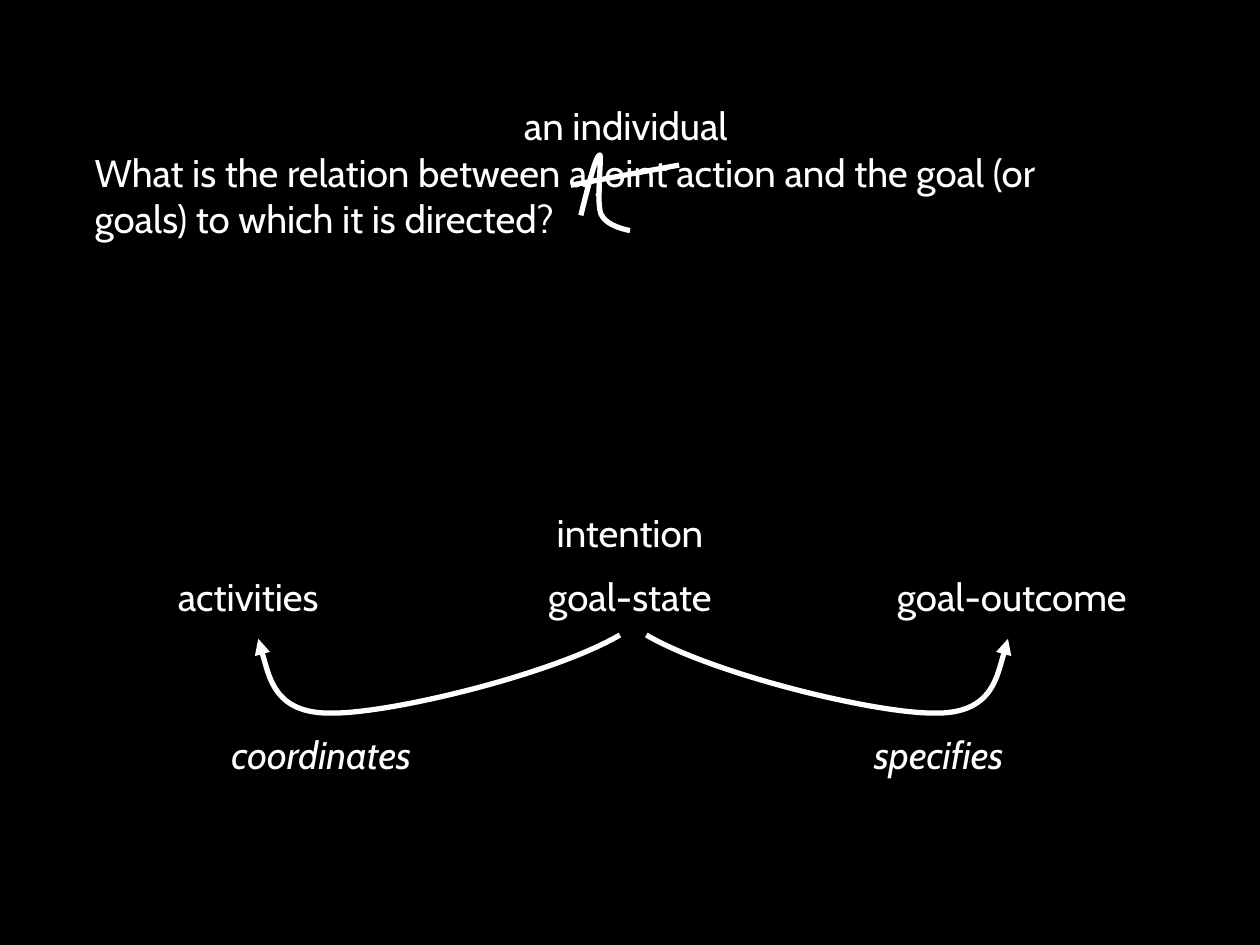
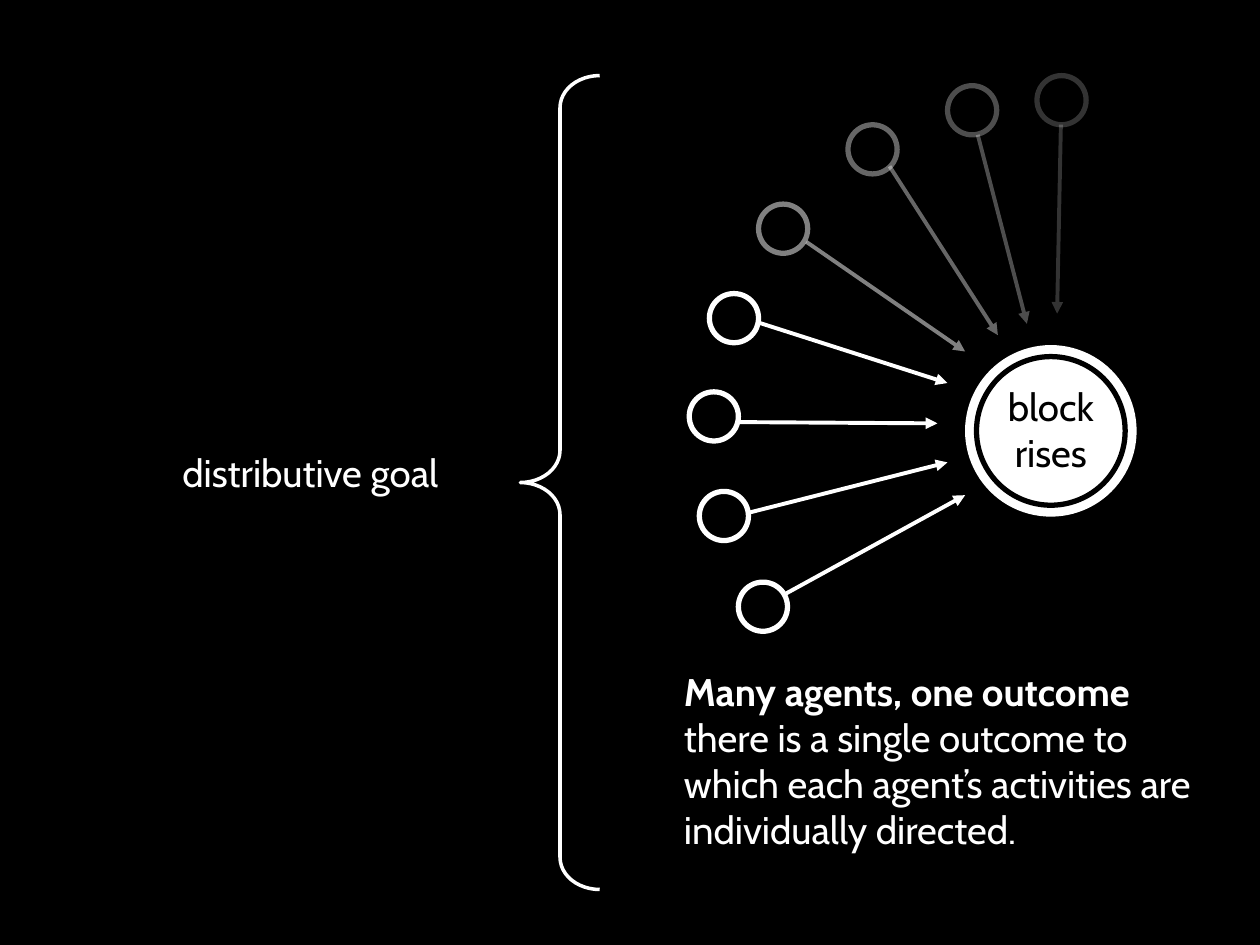
"""Two slides on goals, intentions and joint action."""
from dataclasses import dataclass

from lxml import etree
from pptx import Presentation
from pptx.dml.color import RGBColor
from pptx.enum import shapes, text
from pptx.oxml.ns import qn
from pptx.util import Inches, Pt


@dataclass(frozen=True)
class Theme:
    """Colours, type and line widths shared by the slides."""
    font: str = "Cabin"
    size: int = 22
    ink: RGBColor = RGBColor(255, 255, 255)
    ground: RGBColor = RGBColor(0, 0, 0)
    heavy: float = 3
    arrow: float = 2.25
    brace: float = 2


T = Theme()
LEFT, CENTER, RIGHT = text.PP_ALIGN.LEFT, text.PP_ALIGN.CENTER, text.PP_ALIGN.RIGHT
AGENT_SIZE = 0.39
TITLE_ONLY = 5


def apply(obj, values):
    """Set each attribute in values on obj."""
    for name, value in values.items():
        setattr(obj, name, value)


def write(sp, paragraphs, align=CENTER, color=T.ink):
    """Fill a shape with paragraphs, each a list of (words, font values)."""
    tf = sp.text_frame
    apply(tf, dict(word_wrap=True, auto_size=text.MSO_AUTO_SIZE.NONE,
                   vertical_anchor=text.MSO_ANCHOR.TOP))
    for i, runs in enumerate(paragraphs):
        p = tf.add_paragraph() if i else tf.paragraphs[0]
        p.alignment = align
        for words, values in runs:
            r = p.add_run()
            r.text = words
            apply(r.font, dict(name=T.font, size=Pt(T.size), **values))
            r.font.color.rgb = color


def add_text(s, box, paragraphs, **look):
    """Add a text box."""
    write(s.shapes.add_textbox(*map(Inches, box)), paragraphs, **look)


def add_label(s, left, top, words, **font):
    """Add a centred one-line label of the diagram."""
    add_text(s, (left, top, 2.1, 0.47), [[(words, font)]])


def set_title(s, box, words, align):
    """Move the title placeholder and write in it."""
    sp = s.shapes.title
    apply(sp, dict(zip(("left", "top", "width", "height"), map(Inches, box))))
    write(sp, [[(words, {})]], align)


def style_line(sp, width, color=T.ink, opacity=100, arrow=False):
    """Format an outline, with optional opacity and arrowhead."""
    sp.line.color.rgb = color
    sp.line.width = Pt(width)
    ln = sp.element.spPr.find(qn("a:ln"))
    if opacity < 100:
        clr = next(ln.iter(qn("a:srgbClr")))
        etree.SubElement(clr, qn("a:alpha"), val=str(opacity * 1000))
    if arrow:
        etree.SubElement(ln, qn("a:tailEnd"), type="triangle")


def add_line(s, start, end, width, **look):
    """Add a straight connector."""
    c = s.shapes.add_connector(shapes.MSO_CONNECTOR.STRAIGHT, *map(Inches, start + end))
    style_line(c, width, **look)
    etree.SubElement(c.element.spPr, qn("a:effectLst"))


def add_outline(s, kind, box, width, fill=None, **look):
    """Add a preset shape, hollow unless a fill is given."""
    sp = s.shapes.add_shape(kind, *map(Inches, box))
    sp.shadow.inherit = False
    if fill is None:
        sp.fill.background()
    else:
        sp.fill.solid()
        sp.fill.fore_color.rgb = fill
    style_line(sp, width, **look)
    return sp


def add_curve(s, points, **look):
    """Add an open curve: a start point, then three Bezier points a segment."""
    start, *rest = [(Inches(x), Inches(y)) for x, y in points]
    fb = s.shapes.build_freeform(*start)
    fb.add_line_segments(rest, close=False)
    sp = fb.convert_to_shape()
    sp.shadow.inherit = False
    sp.fill.background()
    lines = list(sp.element.iter(qn("a:lnTo")))
    for i in range(0, len(lines), 3):
        bezier = etree.Element(qn("a:cubicBezTo"))
        lines[i].addprevious(bezier)
        for line in lines[i:i + 3]:
            bezier.append(line[0])
            line.getparent().remove(line)
    style_line(sp, T.heavy, **look)


def add_agent(s, corner, start, tip, opacity):
    """Add an agent's ring and its arrow to the outcome."""
    add_outline(s, shapes.MSO_SHAPE.OVAL, (*corner, AGENT_SIZE, AGENT_SIZE),
                T.heavy, opacity=opacity)
    add_line(s, start, tip, T.arrow, opacity=opacity, arrow=True)


def build_relation(s):
    """Build the slide on how an intention links activities to an outcome."""
    set_title(s, (0.65, 1.13, 7.98, 0.84),
              "What is the relation between a joint action and the goal "
              "(or goals) to which it is directed?", LEFT)
    add_text(s, (4.06, 0.76, 1.95, 0.47), [[("an individual", {})]], align=LEFT)
    for i, words in enumerate(("activities", "goal-state", "goal-outcome")):
        add_label(s, 0.92 + i * 3.03, 4.5, words)
    add_label(s, 3.95, 3.99, "intention")
    add_label(s, 1.5, 5.75, "coordinates", italic=True)
    add_label(s, 6.4, 5.75, "specifies", italic=True)

    to_activities = [(4.92, 5.04), (4.39, 5.35), (3.12, 5.66), (2.64, 5.66),
                     (2.16, 5.67), (2.05, 5.07), (2.05, 5.07)]
    add_curve(s, to_activities, arrow=True)
    add_curve(s, [(10.05 - x, y) for x, y in to_activities], arrow=True)

    add_line(s, (4.53, 1.47), (5.39, 1.31), T.heavy)
    add_curve(s, [(4.61, 1.71), (4.67, 1.47), (4.73, 1.23), (4.76, 1.23),
                  (4.78, 1.23), (4.73, 1.6), (4.77, 1.7),
                  (4.81, 1.8), (5, 1.83), (5, 1.83)])


def build_distributive(s):
    """Build the slide on many agents with one outcome."""
    set_title(s, (0.43, 3.51, 3.15, 0.47), "distributive goal", RIGHT)
    brace = add_outline(s, shapes.MSO_SHAPE.LEFT_BRACE, (4.13, 0.6, 0.63, 6.46), T.brace)
    brace.adjustments[0] = 0.405
    brace.adjustments[1] = 0.5

    agents = [
        ((5.86, 4.62), (6.24, 4.71), (7.66, 3.93), 100),
        ((5.55, 3.9), (5.94, 4.07), (7.52, 3.67), 100),
        ((5.47, 3.11), (5.87, 3.35), (7.44, 3.36), 100),
        ((5.63, 2.33), (6.02, 2.56), (7.52, 3.04), 100),
        ((6.02, 1.62), (6.4, 1.92), (7.66, 2.79), 50),
        ((6.73, 0.99), (7.06, 1.32), (7.92, 2.66), 40),
        ((7.52, 0.68), (7.76, 1.07), (8.15, 2.57), 30),
        ((8.23, 0.6), (8.42, 0.99), (8.39, 2.49), 20),
    ]
    for agent in agents:
        add_agent(s, *agent)

    oval = shapes.MSO_SHAPE.OVAL
    add_outline(s, oval, (7.68, 2.76, 1.32, 1.32), T.heavy, fill=T.ink)
    add_outline(s, oval, (7.75, 2.83, 1.18, 1.18), T.heavy, color=T.ground)
    add_text(s, (7.74, 2.99, 1.2, 0.84), [[("block", {})], [("rises", {})]], color=T.ground)
    add_text(s, (5.33, 5.25, 4.25, 1.58), [[
        ("Many agents, one outcome", dict(bold=True)),
        (" there is a single outcome to which each agent’s activities "
         "are individually directed.", {}),
    ]], align=LEFT)


def main():
    """Build and save the presentation."""
    prs = Presentation()
    apply(prs, dict(slide_width=Inches(10), slide_height=Inches(7.5)))
    fill = prs.slide_master.background.fill
    fill.solid()
    fill.fore_color.rgb = T.ground
    for build in (build_relation, build_distributive):
        build(prs.slides.add_slide(prs.slide_layouts[TITLE_ONLY]))
    prs.save("out.pptx")


if __name__ == "__main__":
    main()
